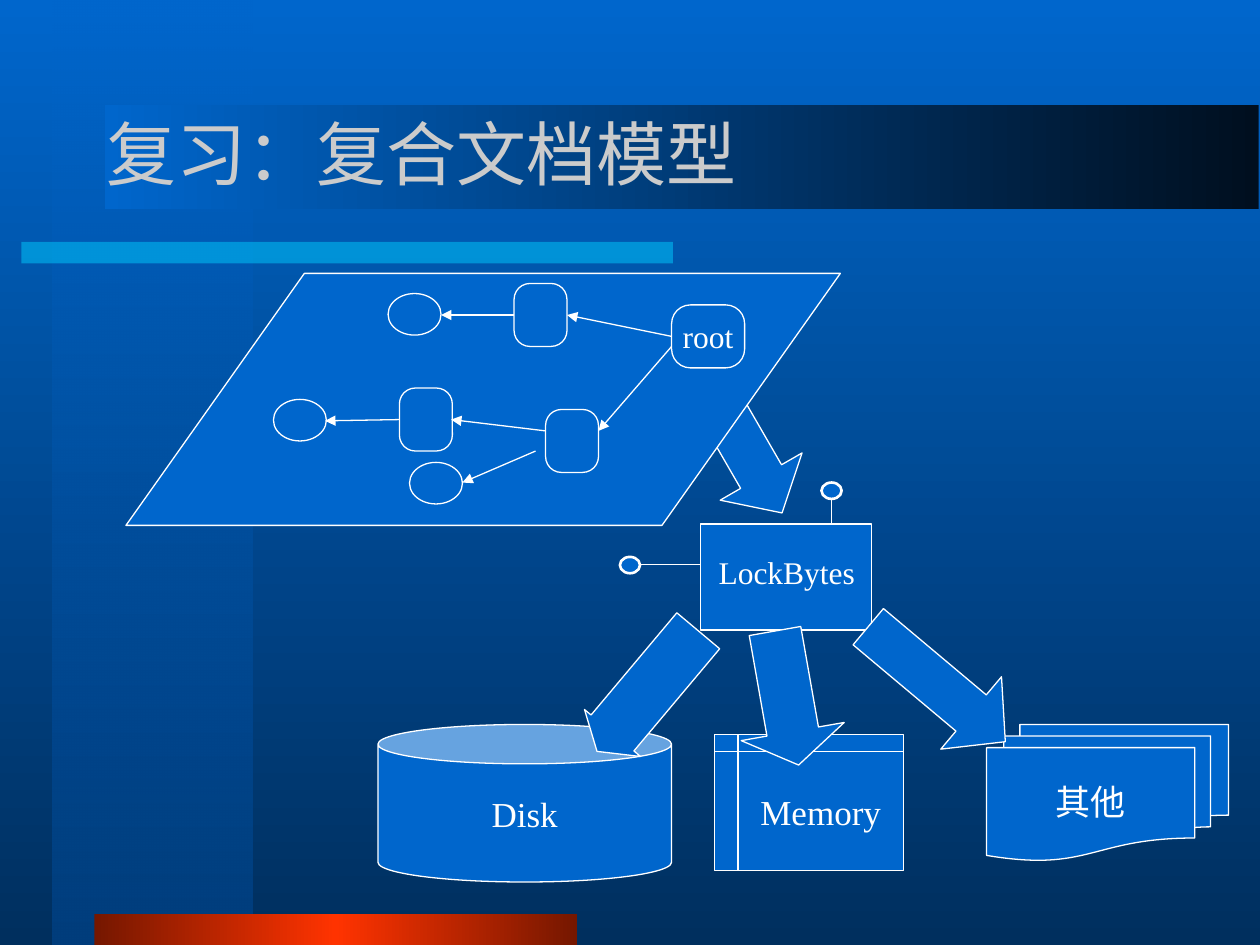
"""Build a slide showing the compound document model above its storage back ends."""
from lxml.etree import SubElement
from pptx import Presentation
from pptx.dml.color import RGBColor
from pptx.enum.shapes import MSO_CONNECTOR, MSO_SHAPE as Shape
from pptx.enum.text import MSO_ANCHOR, PP_ALIGN
from pptx.oxml.ns import qn
from pptx.util import Inches, Pt

BLUE = RGBColor(0x00, 0x66, 0xCC)
NAVY = RGBColor(0x00, 0x2F, 0x5E)
MID_BLUE = RGBColor(0x00, 0x3E, 0x7D)
NIGHT = RGBColor(0x00, 0x0F, 0x1F)
CYAN = RGBColor(0x00, 0xCC, 0xFF)
MAROON = RGBColor(0x75, 0x17, 0x00)
RED = RGBColor(0xFF, 0x33, 0x00)
WHITE = RGBColor(0xFF, 0xFF, 0xFF)
SILVER = RGBColor(0xCB, 0xCB, 0xCB)
FONT = "Times New Roman"

TITLE = "复习：复合文档模型"
TITLE_BOX = (0.75, 0.67, 8.5, 1.08)
BACKGROUND = [(0, BLUE, 100), (100, NAVY, 100)]
SIDE_BAND = (0.42, 0, 1.58, 7.5), 90, [(0, BLUE, 50), (100, MID_BLUE, 100)]
ACCENT_BAR = (0.17, 1.92, 5.17, 0.17)
FOOTER_BAR = (0.75, 7.25, 3.83, 0.25), 180, [(0, MAROON, 100), (50, RED, 100), (100, MAROON, 100)]
TITLE_BAR = (0.83, 0.83, 9.16, 0.83), 180, [(0, NIGHT, 100), (100, BLUE, 100)]

MODEL_ARROW = (5.5, 2.83, 0.75, 1.33), 330, (0.5, 0.444)
LOCK_BOX = (5.56, 4.16, 1.36, 0.84)
LOCK_LABEL = (5.58, 4.25, 1.33, 0.58)
LOLLIPOPS = [
    ((4.92, 4.42), (5.08, 4.48), (5.56, 4.48)),
    ((6.52, 3.83), (6.6, 3.96), (6.6, 4.16)),
]
LOLLIPOP_SIZE = (0.16, 0.13)

MODEL_PLANE = (1, 2.17, 5.67, 2)
ROOT = (5.33, 2.42, 0.58, 0.5)
STORAGES = [(4.08, 2.25), (4.33, 3.25), (3.17, 3.08)]
STORAGE_SIZE = (0.42, 0.5)
STREAMS = [(3.08, 2.33), (2.17, 3.17), (3.25, 3.67)]
STREAM_SIZE = (0.42, 0.33)
LINKS = [
    ((5.33, 2.67), (4.5, 2.5)),
    ((5.33, 2.75), (4.75, 3.42)),
    ((4.08, 2.5), (3.5, 2.5)),
    ((4.25, 3.58), (3.67, 3.83)),
    ((4.33, 3.42), (3.58, 3.33)),
    ((3.17, 3.33), (2.58, 3.34)),
]

BACK_ENDS = [
    (Shape.CAN, (3, 5.75, 2.33, 1.25), "Disk",
     ((4.85, 4.86, 0.58, 1.25), 40, (0.766, 0.329))),
    (Shape.FLOWCHART_MULTIDOCUMENT, (7.83, 5.75, 1.92, 1.08), "其他",
     ((7.06, 4.72, 0.75, 1.42), 310, (0.5, 0.472))),
    (Shape.FLOWCHART_INTERNAL_STORAGE, (5.67, 5.83, 1.5, 1.08), "Memory",
     ((5.83, 5, 0.83, 1.08), 350, (0.5, 0.325))),
]


def set_attributes(target, values):
    for name, value in values.items():
        setattr(target, name, value)


def set_alpha(color_element, percent):
    SubElement(color_element, qn("a:alpha")).set("val", str(percent * 1000))


def set_gradient(fill, element, angle, stops):
    fill.gradient()
    gradient = element.find(".//" + qn("a:gradFill"))
    gradient.find(qn("a:lin")).set("ang", str(angle * 60000))
    stop_list = gradient.find(qn("a:gsLst"))
    for old_stop in list(stop_list):
        stop_list.remove(old_stop)
    for position, color, alpha in stops:
        stop = SubElement(stop_list, qn("a:gs"), pos=str(position * 1000))
        color_element = SubElement(stop, qn("a:srgbClr"), val=str(color))
        if alpha < 100:
            set_alpha(color_element, alpha)


def write_text(shape, text, size, color=WHITE, alignment=PP_ALIGN.CENTER, wrap=False):
    frame = shape.text_frame
    set_attributes(frame, {"word_wrap": wrap, "vertical_anchor": MSO_ANCHOR.MIDDLE})
    paragraph = frame.paragraphs[0]
    paragraph.alignment = alignment
    run = paragraph.add_run()
    run.text = text
    set_attributes(run.font, {"name": FONT, "size": Pt(size)})
    run.font.color.rgb = color


def add_shape(slide, kind, box, line=0.75, adjustments=(), rotation=0, color=BLUE):
    shape = slide.shapes.add_shape(kind, *map(Inches, box))
    shape.shadow.inherit = False
    shape.rotation = rotation
    shape.fill.solid()
    shape.fill.fore_color.rgb = color
    if line:
        shape.line.color.rgb = WHITE
        shape.line.width = Pt(line)
    else:
        shape.line.fill.background()
    for index, value in enumerate(adjustments):
        shape.adjustments[index] = value
    return shape


def add_block_arrow(slide, box, rotation, adjustments):
    add_shape(slide, Shape.DOWN_ARROW, box, adjustments=adjustments, rotation=rotation)


def add_line(slide, start, end, arrow=False):
    line = slide.shapes.add_connector(MSO_CONNECTOR.STRAIGHT, *map(Inches, start + end))
    line.line.color.rgb = WHITE
    line.line.width = Pt(0.75)
    properties = line.element.spPr
    if arrow:
        SubElement(properties.find(qn("a:ln")), qn("a:tailEnd"), type="triangle")
    SubElement(properties, qn("a:effectLst"))


def add_backdrop(slide):
    set_gradient(slide.background.fill, slide.element, 90, BACKGROUND)
    for box, angle, stops in (SIDE_BAND, FOOTER_BAR, TITLE_BAR):
        band = add_shape(slide, Shape.RECTANGLE, box, line=0)
        set_gradient(band.fill, band.element, angle, stops)
    accent = add_shape(slide, Shape.RECTANGLE, ACCENT_BAR, line=0, color=CYAN)
    set_alpha(accent.element.find(".//" + qn("a:srgbClr")), 50)
    title = slide.shapes.add_textbox(*map(Inches, TITLE_BOX))
    write_text(title, TITLE, 40, SILVER, PP_ALIGN.LEFT, True)


def add_lock_bytes(slide):
    add_block_arrow(slide, *MODEL_ARROW)
    add_shape(slide, Shape.RECTANGLE, LOCK_BOX)
    for corner, start, end in LOLLIPOPS:
        add_line(slide, start, end)
        add_shape(slide, Shape.OVAL, corner + LOLLIPOP_SIZE, line=1.5)
    label = add_shape(slide, Shape.RECTANGLE, LOCK_LABEL, line=0)
    write_text(label, "LockBytes", 18)


def add_document_tree(slide):
    add_shape(slide, Shape.PARALLELOGRAM, MODEL_PLANE, adjustments=[0.708])
    root = add_shape(slide, Shape.ROUNDED_RECTANGLE, ROOT, adjustments=[0.3])
    write_text(root, "root", 18)
    for corner in STORAGES:
        add_shape(slide, Shape.ROUNDED_RECTANGLE, corner + STORAGE_SIZE, adjustments=[0.3])
    for corner in STREAMS:
        add_shape(slide, Shape.OVAL, corner + STREAM_SIZE)
    for start, end in LINKS:
        add_line(slide, start, end, arrow=True)


def add_back_ends(slide):
    for kind, box, name, arrow in BACK_ENDS:
        write_text(add_shape(slide, kind, box), name, 20)
        add_block_arrow(slide, *arrow)


def main():
    presentation = Presentation()
    set_attributes(presentation, {"slide_width": Inches(10), "slide_height": Inches(7.5)})
    slide = presentation.slides.add_slide(presentation.slide_layouts[6])
    for build in (add_backdrop, add_lock_bytes, add_document_tree, add_back_ends):
        build(slide)
    presentation.save("out.pptx")


if __name__ == "__main__":
    main()
